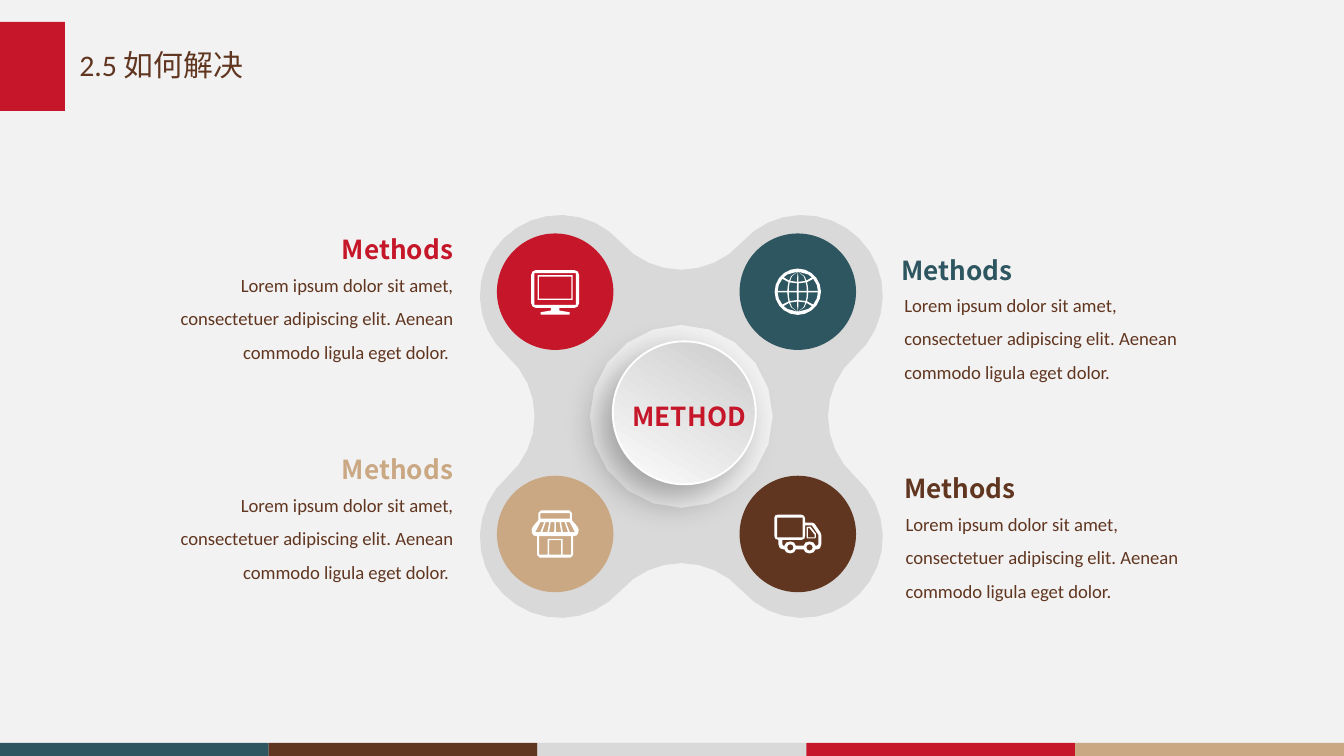
"""Build the "2.5 如何解决" slide: four methods around a central hub."""
from dataclasses import dataclass
from math import atan2, cos, degrees, hypot, radians, sin, sqrt

from lxml import etree
from pptx import Presentation
from pptx.dml.color import RGBColor
from pptx.enum.shapes import MSO_SHAPE
from pptx.enum.text import MSO_ANCHOR, MSO_AUTO_SIZE, PP_ALIGN
from pptx.oxml.ns import qn
from pptx.util import Pt

RECT, OVAL = MSO_SHAPE.RECTANGLE, MSO_SHAPE.OVAL
LEFT, RIGHT = PP_ALIGN.LEFT, PP_ALIGN.RIGHT


@dataclass(frozen=True)
class Theme:
    back: RGBColor = RGBColor.from_string("F2F2F2")
    red: RGBColor = RGBColor.from_string("C51729")
    teal: RGBColor = RGBColor.from_string("2E5660")
    tan: RGBColor = RGBColor.from_string("CAA884")
    brown: RGBColor = RGBColor.from_string("613620")
    grey: RGBColor = RGBColor.from_string("D9D9D9")
    white: RGBColor = RGBColor.from_string("FFFFFF")
    disc_dark: RGBColor = RGBColor.from_string("CCCCCC")
    disc_light: RGBColor = RGBColor.from_string("FCFCFC")
    body_font: str = "Calibri"
    head_font: str = "Noto Sans CJK SC"
    title_size: int = 16
    head_size: int = 14
    body_size: int = 10


def rounded(x, y, w, h, r):
    if r == 0:
        return [(x, y), (x + w, y), (x + w, y + h), (x, y + h)]
    step = 45 if r < 4 else 18
    corners = [(x + w - r, y + r, -90), (x + w - r, y + h - r, 0),
               (x + r, y + h - r, 90), (x + r, y + r, 180)]
    return [(cx + r * cos(radians(a + d)), cy + r * sin(radians(a + d)))
            for cx, cy, a in corners for d in range(0, 91, step)]


def add_outline(cx, cy, contours, color):
    points = [[(Pt(cx + x), Pt(cy + y)) for x, y in c] for c in contours]
    builder = slide.shapes.build_freeform(*points[0][0])
    builder.add_line_segments(points[0][1:])
    for c in points[1:]:
        builder.move_to(*c[0])
        builder.add_line_segments(c[1:])
    sp = builder.convert_to_shape()
    sp.shadow.inherit = False
    sp.fill.solid()
    sp.fill.fore_color.rgb = color
    sp.line.fill.background()


theme = Theme()
prs = Presentation()
prs.slide_width, prs.slide_height = Pt(720), Pt(405)
slide = prs.slides.add_slide(prs.slide_layouts[5])
slide.background.fill.solid()
slide.background.fill.fore_color.rgb = theme.back

stripes = [theme.teal, theme.brown, theme.grey, theme.red, theme.tan]
flats = [(RECT, 144 * i, 398, 144, 7, c) for i, c in enumerate(stripes)]
flats.append((RECT, 0, 11.7, 34.8, 47.8, theme.red))

hub_x, hub_y, lobe, valley = 365, 223.1, 64.8, 121.7
radius = hypot(lobe, valley - lobe) / 2
tilt = degrees(atan2(valley - lobe, lobe))
hub = []
for turn in range(0, 360, 90):
    arcs = [(lobe * sqrt(2), turn - 45, turn - 180 + tilt, turn + 90 - tilt, 16),
            (valley, turn, turn + 270 - tilt, turn + 90 + tilt, 8)]
    for dist, way, start, end, count in arcs:
        for i in range(count):
            a = radians(start + (end - start) * i / count)
            hub.append((dist * cos(radians(way)) + radius * cos(a),
                        dist * sin(radians(way)) + radius * sin(a)))
add_outline(hub_x, hub_y, [hub, rounded(-49, -49, 98, 98, 49)], theme.grey)

stand = [(-2.3, 8.7), (-2.3, 10.1), (-7.8, 11), (-7.8, 12.2),
         (7.8, 12.2), (7.8, 11), (2.3, 10.1), (2.3, 8.7)]
monitor = [[rounded(-12.8, -11.6, 25.6, 20.3, 2.5),
            rounded(-11.1, -9.9, 22.2, 16.9, 0), stand],
           [rounded(-9.4, -8.8, 18.8, 13.2, 0), rounded(-8.7, -8.1, 17.4, 11.8, 0)]]

globe = [rounded(-12.4, -12.4, 24.8, 24.8, 12.4)]
rim = [(0, 0), (1, 0), (1, 0.5), (1, 1), (0, 1), (0, 0.5)]
for (top, top_bow), (bottom, bottom_bow) in [((-10.8, 0), (-7.7, 2.4)), ((-6.9, 2.4), (-0.4, 0)),
                                             ((0.4, 0), (6.9, -2.4)), ((7.7, -2.4), (10.8, 0))]:
    for u0, u1 in [(-1, -0.52), (-0.45, -0.04), (0.04, 0.45), (0.52, 1)]:
        cell = []
        for s, t in rim:
            u = u0 + (u1 - u0) * s
            bow = 1 - u * u
            y = (top + top_bow * bow) * (1 - t) + (bottom + bottom_bow * bow) * t
            cell.append((u * sqrt(max(0, 10.8 ** 2 - y * y)), y))
        globe.append(cell)

front = [(7.6, -12.6), (9, -11.2), (9, -7.4), (11.9, -4), (12.6, -2.4), (12.4, -0.6),
         (11.5, 0.8), (9.7, 1.2), (9.7, 11.2), (8.3, 12.6)]
wall = [(8.6, 1.2), (8.6, 11), (4, 11), (4, 2.6)]
shop = [half + [(-x, y) for x, y in reversed(half)] for half in (front, wall)]
shop += [rounded(-7.9, -11.1, 15.8, 2.9, 0), rounded(-3.2, 3.3, 6.4, 7.7, 0)]
for i in range(-3, 3):
    near, far = i + 0.13, i + 0.87
    shop.append([(near * 2.75, -6.3), (far * 2.75, -6.3), (far * 3.7, -1), (near * 3.7, -1)])

shell = [(-12.6, -8.6), (-12, -10), (-10.4, -10.4), (1.7, -10.4), (3.3, -9.8), (3.9, -8.4),
         (3.9, -6.1), (7.6, -6.1), (9, -5.5), (12.2, -0.7), (12.6, 0.7), (12.6, 5.4),
         (11.9, 7.6), (10.4, 8.3), (9.4, 8.3), (8.5, 9.8), (6.3, 10.4), (4.1, 9.8),
         (3.2, 8.3), (-1.1, 8.3), (-2, 9.8), (-4, 10.4), (-6.2, 9.8), (-7.1, 8.3),
         (-7.6, 8.3), (-9.6, 7.6), (-10.4, 5.4), (-10.4, 3.2), (-12, 2.6), (-12.6, 1)]
cab = [(-8.3, 3.2), (2, 3.2), (3.6, 2.4), (3.9, 0.9), (3.9, -4.6), (7.5, -4.6), (11, 0.4),
       (11, 5.6), (10.4, 6.2), (9.4, 6.2), (8.4, 4.6), (6.3, 4), (4.1, 4.6), (3.2, 6.2),
       (-1.1, 6.2), (-2, 4.6), (-4, 4), (-6.2, 4.6), (-7.1, 6.2), (-7.8, 6.2), (-8.3, 5.6)]
wheels = [rounded(x - 1.7, 5.5, 3.4, 3.4, 1.7) for x in (-4, 6.3)]
window = [[(4.7, -3.7), (6.8, -4), (9.7, -0.2), (9.7, 1.8), (9.3, 2.4), (5.1, 2.4), (4.7, 1.8)],
          [(5.4, -3.2), (6.2, -3.2), (9, 0.3), (9, 1.8), (5.4, 1.8)]]
truck = [[shell, cab, rounded(-11, -8.8, 13.6, 10.6, 0)] + wheels, window]

badges = [(0, 0, theme.red, monitor), (1, 0, theme.teal, [globe]),
          (0, 1, theme.tan, [shop]), (1, 1, theme.brown, truck)]
flats += [(OVAL, 266.2 + 130 * col, 125.1 + 129.8 * row, 62.4, 62.4, color)
          for col, row, color, icon in badges]
for kind, x, y, w, h, color in flats:
    sp = slide.shapes.add_shape(kind, Pt(x), Pt(y), Pt(w), Pt(h))
    sp.shadow.inherit = False
    sp.fill.solid()
    sp.fill.fore_color.rgb = color
    sp.line.fill.background()
for col, row, color, icon in badges:
    for contours in icon:
        add_outline(297.4 + 130 * col, 156.3 + 129.8 * row, contours, theme.white)

disc = slide.shapes.add_shape(OVAL, Pt(328.3), Pt(182.9), Pt(76.6), Pt(76.6))
disc.fill.gradient()
disc.fill.gradient_angle = 240
for stop, color in zip(disc.fill.gradient_stops, (theme.disc_dark, theme.disc_light)):
    stop.color.rgb = color
disc.line.color.rgb = theme.white
disc.line.width = Pt(1)
disc.shadow.inherit = False
effects = disc._element.spPr.find(qn("a:effectLst"))
shadow = etree.SubElement(effects, qn("a:outerShdw"), blurRad=str(Pt(20)), dist=str(Pt(10)),
                          dir=str(136 * 60000), algn="ctr", rotWithShape="0")
black = etree.SubElement(shadow, qn("a:srgbClr"), val="000000")
etree.SubElement(black, qn("a:alpha"), val="34000")

title = slide.shapes.title
title.left, title.top, title.width, title.height = Pt(35.3), Pt(21.6), Pt(122.4), Pt(28.1)
tf = title.text_frame
tf.text = "2.5 如何解决"
tf.auto_size = MSO_AUTO_SIZE.NONE
tf.vertical_anchor = MSO_ANCHOR.MIDDLE
p = tf.paragraphs[0]
p.alignment = LEFT
p.line_spacing = 0.9
font = p.runs[0].font
font.name, font.size, font.color.rgb = theme.body_font, Pt(theme.title_size), theme.brown

lorem = "Lorem ipsum dolor sit amet, consectetuer adipiscing elit. Aenean commodo ligula eget dolor."
methods = [(475.9, 477.4, 132.5, LEFT, theme.teal, lorem),
           (477.4, 478.1, 249.8, LEFT, theme.brown, lorem),
           (172.1, 84.2, 121.7, RIGHT, theme.red, lorem + " "),
           (172.1, 84.2, 239.5, RIGHT, theme.tan, lorem + " ")]
labels = [("METHOD", 326.2, 211, 80.6, RIGHT, theme.red, True)]
for head_x, body_x, y, align, color, text in methods:
    labels += [("Methods", head_x, y, 77.8, align, color, True),
               (text, body_x, y + 15.3, 165.6, align, theme.brown, False)]
for text, x, y, w, align, color, is_head in labels:
    box = slide.shapes.add_textbox(Pt(x), Pt(y), Pt(w), Pt(24.5 if is_head else 61.9))
    tf = box.text_frame
    tf.text = text
    tf.word_wrap = not is_head
    tf.auto_size = MSO_AUTO_SIZE.SHAPE_TO_FIT_TEXT
    p = tf.paragraphs[0]
    p.alignment = align
    p.line_spacing = 1.0 if is_head else 1.5
    font = p.runs[0].font
    font.name = theme.head_font if is_head else theme.body_font
    font.size = Pt(theme.head_size if is_head else theme.body_size)
    font.bold = is_head
    font.color.rgb = color

prs.save("out.pptx")
